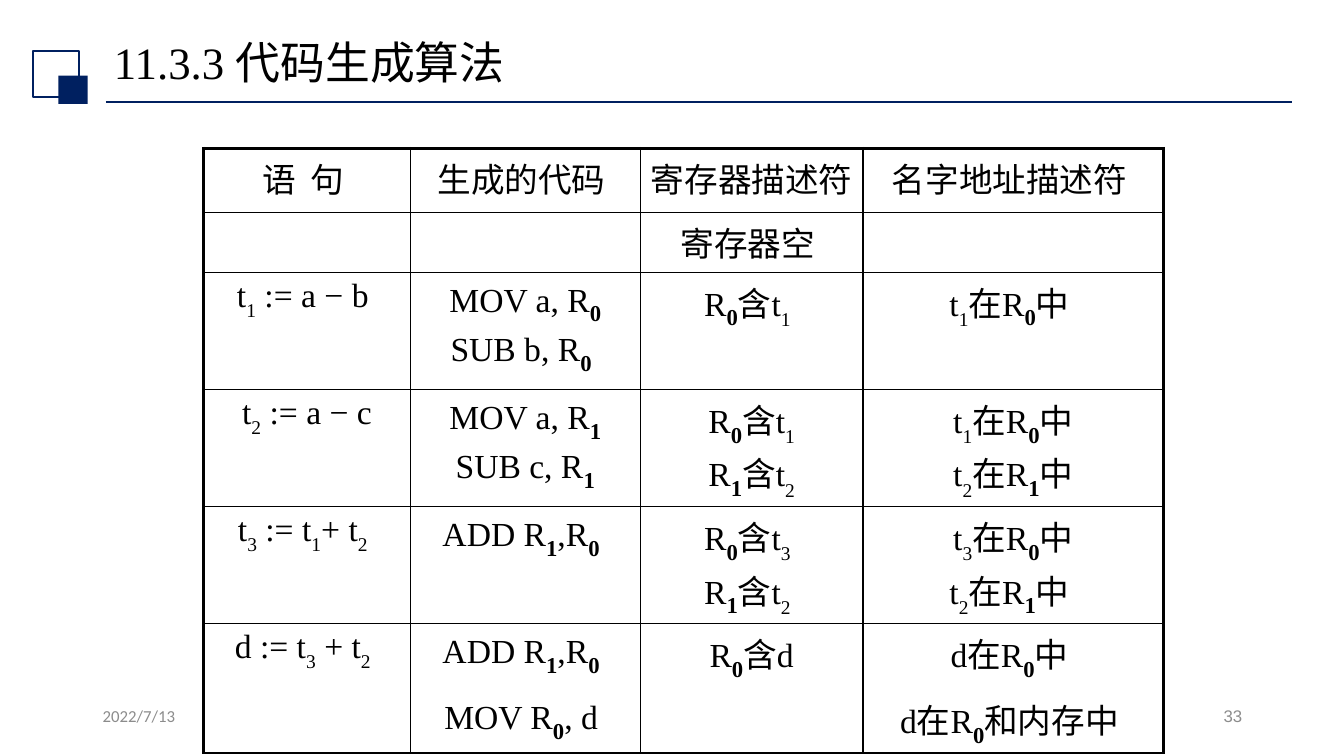
import pptx
import pptx.util
import pptx.dml.color
import pptx.enum.shapes
import pptx.enum.text
import pptx.oxml.ns
from lxml import etree

Inches, Pt = pptx.util.Inches, pptx.util.Pt
ALIGN = pptx.enum.text.PP_ALIGN
ANCHOR = pptx.enum.text.MSO_ANCHOR
qn = pptx.oxml.ns.qn

WIDTH, HEIGHT = 13.33, 7.5
NAVY, BLACK, GRAY = "002060", "000000", "8C8C8C"
SERIF = "Times New Roman"
COLUMNS = [2.05, 2.28, 2.21, 2.98]
ROWS = [0.64, 0.59, 0.93, 1.06, 1.12, 0.65, 0.58]
CELLS = [
    ["语  句 ", "生成的代码 ", "寄存器描述符", "名字地址描述符 "],
    ["", "", "寄存器空 ", ""],
    ["t_1 := a − b ", "MOV a, R_0\nSUB b, R_0 ", "R_0含t_1 ", "t_1在R_0中 "],
    ["t_2 := a − c", "MOV a, R_1\nSUB c, R_1", "R_0含t_1\nR_1含t_2", "t_1在R_0中\nt_2在R_1中"],
    ["t_3 := t_1+ t_2 ", "ADD R_1,R_0 ", "R_0含t_3 \nR_1含t_2 ", "t_3在R_0中\nt_2在R_1中 "],
    ["d := t_3 + t_2 ", "ADD R_1,R_0 ", "R_0含d", "d在R_0中 "],
    ["", "MOV R_0, d ", "", "d在R_0和内存中 "],
]


def color(value):
    return pptx.dml.color.RGBColor.from_string(value)


def add_run(p, text, size, font=SERIF, fill=BLACK, bold=False, baseline=0):
    r = p.add_run()
    r.text = text
    r.font.size = Pt(size)
    r.font.name = font
    r.font.bold = bold
    r.font.color.rgb = color(fill)
    if baseline:
        r.font._element.set("baseline", str(baseline * 1000))


def add_code(p, text):
    before, *parts = text.split("_")
    if before:
        add_run(p, before, 24)
    for part in parts:
        sub, after = part[0], part[1:]
        if before.endswith("R"):
            add_run(p, sub, 28, bold=True, baseline=-25)
        else:
            add_run(p, sub, 24, baseline=-30)
        if after:
            add_run(p, after, 24)
        before = after


def add_square(s, x, y, w, h, fill=None):
    sp = s.shapes.add_shape(pptx.enum.shapes.MSO_SHAPE.RECTANGLE,
                            Inches(x), Inches(y), Inches(w), Inches(h))
    sp.shadow.inherit = False
    if fill:
        sp.fill.solid()
        sp.fill.fore_color.rgb = color(fill)
        sp.line.fill.background()
    else:
        sp.fill.background()
        sp.line.color.rgb = color(NAVY)
        sp.line.width = Pt(1.5)


def add_header(s, x, y, w, h):
    rule = s.shapes.add_connector(pptx.enum.shapes.MSO_CONNECTOR.STRAIGHT,
                                  Inches(x + 0.72), Inches(y + h),
                                  Inches(x + w), Inches(y + h))
    rule.line.color.rgb = color(NAVY)
    rule.line.width = Pt(1.25)
    etree.SubElement(rule._element.spPr, qn("a:effectLst"))
    add_square(s, x, y + 0.17, 0.45, 0.45)
    add_square(s, x + 0.25, y + 0.41, 0.29, 0.28, NAVY)
    title = s.shapes.title
    title.left, title.top = Inches(x + 0.7), Inches(y)
    title.width, title.height = Inches(11.5), Inches(0.61)
    tf = title.text_frame
    tf.vertical_anchor = ANCHOR.MIDDLE
    p = tf.paragraphs[0]
    p.alignment = ALIGN.LEFT
    p.line_spacing = 0.9
    add_run(p, "11.3.3 代码生成算法", 32)


def set_border(cell, side, width):
    tcPr = cell._tc.get_or_add_tcPr()
    ln = etree.SubElement(tcPr, qn("a:ln" + side), w=str(int(Pt(width))))
    if width:
        fill = etree.SubElement(ln, qn("a:solidFill"))
        etree.SubElement(fill, qn("a:srgbClr"), val=BLACK)
    else:
        etree.SubElement(ln, qn("a:noFill"))


def add_algorithm_table(s, x, y):
    table = s.shapes.add_table(len(ROWS), len(COLUMNS), Inches(x), Inches(y),
                               Inches(sum(COLUMNS)), Inches(sum(ROWS))).table
    table.first_row = table.horz_banding = False
    for column, width in zip(table.columns, COLUMNS):
        column.width = Inches(width)
    for row, height in zip(table.rows, ROWS):
        row.height = Inches(height)
    last_row, last_col = len(ROWS) - 1, len(COLUMNS) - 1
    for i, texts in enumerate(CELLS):
        for j, text in enumerate(texts):
            cell = table.cell(i, j)
            set_border(cell, "L", 2.25 if j == 0 else 1)
            set_border(cell, "R", 2.25 if j == last_col else 1)
            set_border(cell, "T", 2.25 if i == 0 else 0 if i == last_row else 1)
            set_border(cell, "B", 2.25 if i == last_row else 0 if i == last_row - 1 else 1)
            cell.fill.background()
            for k, line in enumerate(text.split("\n")):
                tf = cell.text_frame
                p = tf.add_paragraph() if k else tf.paragraphs[0]
                p.alignment = ALIGN.CENTER
                add_code(p, line)


def add_footer_text(s, x, y, text, font, alignment):
    tf = s.shapes.add_textbox(Inches(x), Inches(y), Inches(3), Inches(0.4)).text_frame
    tf.word_wrap = True
    p = tf.paragraphs[0]
    p.alignment = alignment
    add_run(p, text, 12, font, GRAY)


def add_footer(s, x, y, w):
    add_footer_text(s, x, y, "2022/7/13", "Calibri", ALIGN.LEFT)
    add_footer_text(s, x + w - 3, y, "33", "Arial", ALIGN.RIGHT)


def main():
    prs = pptx.Presentation()
    prs.slide_width, prs.slide_height = Inches(WIDTH), Inches(HEIGHT)
    s = prs.slides.add_slide(prs.slide_layouts[5])
    add_header(s, 0.33, 0.34, 12.48, 0.67)
    add_footer(s, 0.92, 6.95, 11.5)
    add_algorithm_table(s, 2.02, 1.47)
    prs.save("out.pptx")


if __name__ == "__main__":
    main()
